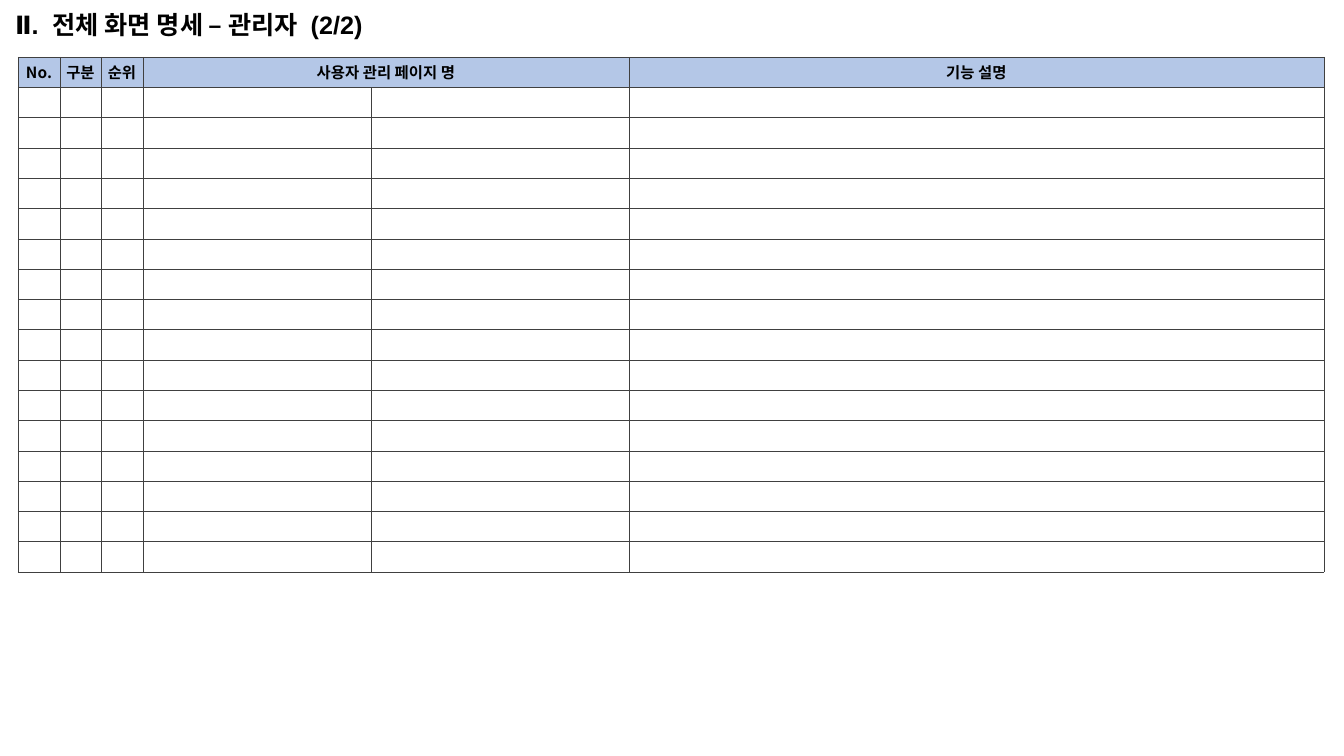
"""Build the administrator screen specification slide."""
import dataclasses

import lxml.etree
import pptx
import pptx.dml.color
import pptx.enum.text
import pptx.oxml.ns
import pptx.util

EMU_PER_PX = 914400 / 100.8
TITLE_BOX = (5, 4, 422, 40)
TITLE_PARTS = (
    ("Ⅱ.", 0), (" ", 500), ("전체 화면 명세 – 관리자", 0), (" ", 500), ("(2/2)", 0),
)
TABLE_LEFT, TABLE_TOP, TABLE_HEIGHT = 18, 57, 515
COLUMN_WIDTHS = (42, 41, 42, 228, 258, 695)
ROW_COUNT = 17
HEADERS = {0: "No.", 1: "구분", 2: "순위", 3: "사용자 관리 페이지 명", 5: "기능 설명"}
PAGE_NAME_COLUMNS = (3, 4)
CELL_MARGIN = 4


@dataclasses.dataclass(frozen=True)
class Theme:
    """Hold the colours, fonts and type sizes of the slide."""

    text: str = "000000"
    header_fill: str = "B4C7E7"
    body_fill: str = "FFFFFF"
    border: str = "404040"
    border_width: float = 0.25
    title_font: str = "Arial"
    table_font: str = "Noto Sans CJK KR"
    title_size: int = 18
    table_size: int = 11
    empty_size: int = 8


THEME = Theme()


def px(length):
    """Turn a length in px into EMU."""
    return pptx.util.Emu(round(length * EMU_PER_PX))


def apply_format(target, values):
    """Set every attribute named in values on target."""
    for name, value in values.items():
        setattr(target, name, value)


def add_child(parent, tag, **attributes):
    """Append a drawing element to parent and return it."""
    return lxml.etree.SubElement(parent, pptx.oxml.ns.qn(tag), attributes)


def format_run(run, font_name, size):
    """Give a run its bold black type, with the Korean face."""
    apply_format(run.font, {"name": font_name, "size": pptx.util.Pt(size), "bold": True})
    run.font.color.rgb = pptx.dml.color.RGBColor.from_string(THEME.text)
    add_child(run.font._element, "a:ea", typeface=THEME.table_font)


def add_title(slide):
    """Place the title and widen its two separating spaces."""
    title = slide.shapes.title
    apply_format(title, dict(zip(("left", "top", "width", "height"), map(px, TITLE_BOX))))
    apply_format(title.text_frame, {
        "word_wrap": True,
        "auto_size": pptx.enum.text.MSO_AUTO_SIZE.NONE,
        "vertical_anchor": pptx.enum.text.MSO_ANCHOR.MIDDLE,
    })
    paragraph = title.text_frame.paragraphs[0]
    apply_format(paragraph, {"alignment": pptx.enum.text.PP_ALIGN.LEFT, "line_spacing": 1.0})
    for text, spacing in TITLE_PARTS:
        run = paragraph.add_run()
        run.text = text
        format_run(run, THEME.title_font, THEME.title_size)
        if spacing:
            run.font._element.set("spc", str(spacing))


def add_borders(cell):
    """Draw a thin line on all four sides of a cell."""
    properties = cell._tc.get_or_add_tcPr()
    width = str(pptx.util.Pt(THEME.border_width))
    for side in ("a:lnL", "a:lnR", "a:lnT", "a:lnB"):
        line = add_child(properties, side, w=width)
        add_child(add_child(line, "a:solidFill"), "a:srgbClr", val=THEME.border)


def format_cell(cell, fill_color):
    """Give a cell its borders, fill, margins and anchor."""
    add_borders(cell)
    cell.fill.solid()
    cell.fill.fore_color.rgb = pptx.dml.color.RGBColor.from_string(fill_color)
    margins = ("margin_left", "margin_right", "margin_top", "margin_bottom")
    apply_format(cell, dict.fromkeys(margins, px(CELL_MARGIN)))
    cell.vertical_anchor = pptx.enum.text.MSO_ANCHOR.MIDDLE


def fill_cell_text(cell, text):
    """Write a centred label, or keep an empty cell low."""
    paragraph = cell.text_frame.paragraphs[0]
    if text:
        paragraph.alignment = pptx.enum.text.PP_ALIGN.CENTER
        run = paragraph.add_run()
        run.text = text
        format_run(run, THEME.table_font, THEME.table_size)
    else:
        add_child(paragraph._p, "a:endParaRPr", sz=str(THEME.empty_size * 100))


def add_specification_table(slide):
    """Add the header row and the empty rows below it."""
    table = slide.shapes.add_table(
        ROW_COUNT, len(COLUMN_WIDTHS), px(TABLE_LEFT), px(TABLE_TOP),
        px(sum(COLUMN_WIDTHS)), px(TABLE_HEIGHT),
    ).table
    apply_format(table, {"first_row": False, "horz_banding": False})
    for column, width in zip(table.columns, COLUMN_WIDTHS):
        column.width = px(width)
    for row_index, row in enumerate(table.rows):
        row.height = px(TABLE_HEIGHT / ROW_COUNT)
        is_header = row_index == 0
        for column_index, cell in enumerate(row.cells):
            format_cell(cell, THEME.header_fill if is_header else THEME.body_fill)
            fill_cell_text(cell, HEADERS.get(column_index) if is_header else None)
    first, last = PAGE_NAME_COLUMNS
    table.cell(0, first).merge(table.cell(0, last))


def main():
    """Build and save the presentation."""
    presentation = pptx.Presentation()
    apply_format(presentation, {"slide_width": px(1344), "slide_height": px(756)})
    slide = presentation.slides.add_slide(presentation.slide_layouts[5])
    add_specification_table(slide)
    add_title(slide)
    presentation.save("out.pptx")


if __name__ == "__main__":
    main()
